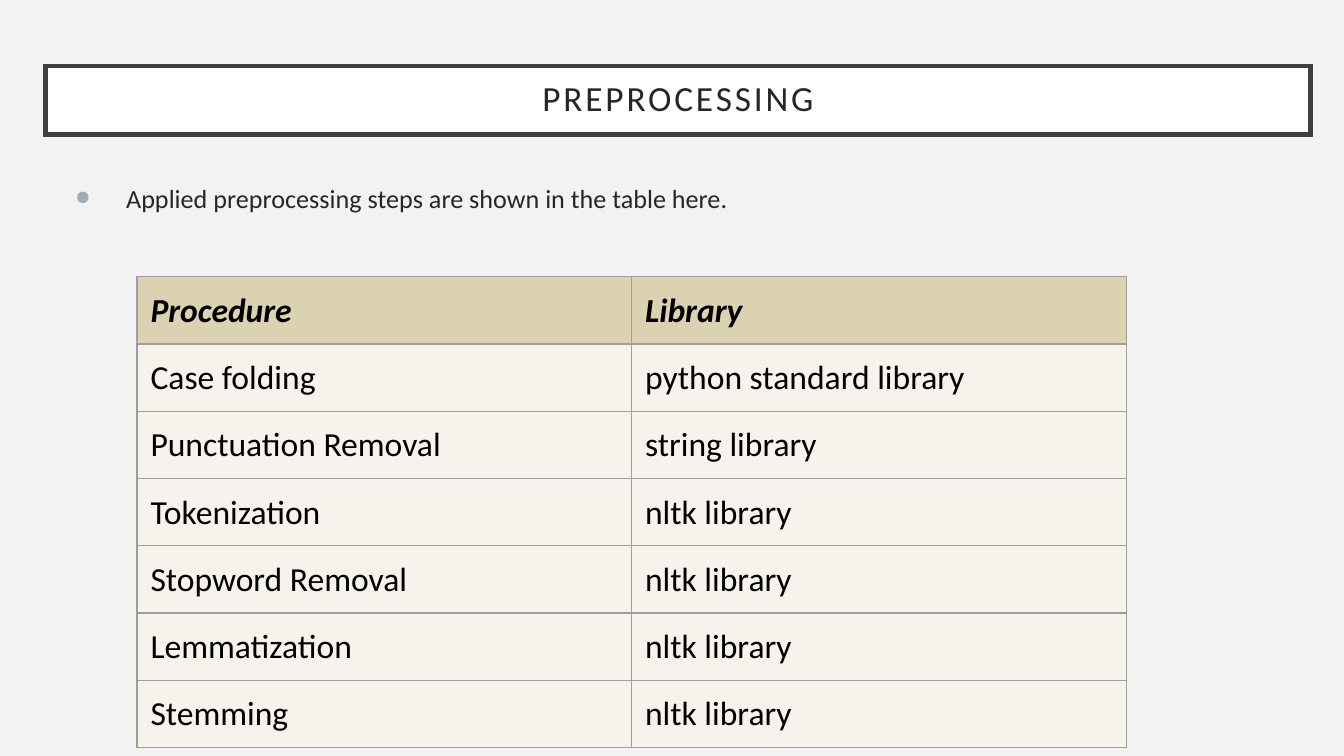
from typing import NamedTuple

import pptx
import pptx.dml.color
import pptx.enum.shapes
import pptx.enum.text
import pptx.oxml.ns
import pptx.util
from lxml import etree
from pptx.dml.color import RGBColor
from pptx.util import Inches

FONT = "Calibri"
BACKGROUND = RGBColor(0xF2, 0xF2, 0xF2)
WHITE = RGBColor(0xFF, 0xFF, 0xFF)
BLACK = RGBColor(0x00, 0x00, 0x00)
TEXT = RGBColor(0x26, 0x26, 0x26)
TITLE_LINE = RGBColor(0x40, 0x40, 0x40)
BULLET = RGBColor(0x9B, 0xAF, 0xB5)
HEADER_FILL = RGBColor(0xDA, 0xD2, 0xB0)
BODY_FILL = RGBColor(0xF5, 0xF3, 0xEB)
BORDER = RGBColor(0x9E, 0x9E, 0x9E)

MARGIN = Inches(0.1)
ROW_HEIGHT = 0.43
TALL_ROW_HEIGHT = 0.47
COLUMN_WIDTH = 3.68


class Step(NamedTuple):
    procedure: str
    library: str


HEADER = Step("Procedure", "Library")
STEPS = [
    Step("Case folding", "python standard library"),
    Step("Punctuation Removal", "string library"),
    Step("Tokenization", "nltk library"),
    Step("Stopword Removal", "nltk library"),
    Step("Lemmatization", "nltk library"),
    Step("Stemming", "nltk library"),
]
TALL_STEP = STEPS[3]


def add_element(parent, tag: str, **attributes: str):
    return etree.SubElement(parent, pptx.oxml.ns.qn(tag), attributes)


def set_font(paragraph, size: float, color: RGBColor) -> None:
    paragraph.font.name = FONT
    paragraph.font.size = pptx.util.Pt(size)
    paragraph.font.color.rgb = color


def set_margins(target) -> None:
    """Give a text frame or a table cell equal margins."""
    target.margin_left = target.margin_right = MARGIN
    target.margin_top = target.margin_bottom = MARGIN


def add_title(slide, text: str) -> None:
    shape = slide.shapes.add_shape(
        pptx.enum.shapes.MSO_SHAPE.RECTANGLE,
        Inches(0.34), Inches(0.49), Inches(9.41), Inches(0.51))
    shape.shadow.inherit = False
    shape.fill.solid()
    shape.fill.fore_color.rgb = WHITE
    shape.line.color.rgb = TITLE_LINE
    shape.line.width = pptx.util.Pt(2.5)
    # Square corners on the outline
    add_element(shape.line._get_or_add_ln(), "a:miter", lim="800000")
    frame = shape.text_frame
    frame.word_wrap = True
    frame.vertical_anchor = pptx.enum.text.MSO_ANCHOR.MIDDLE
    set_margins(frame)
    paragraph = frame.paragraphs[0]
    paragraph.text = text
    paragraph.alignment = pptx.enum.text.PP_ALIGN.CENTER
    paragraph.line_spacing = 0.9
    set_font(paragraph, 18.9, TEXT)
    # Letter spacing in hundredths of a point
    paragraph.runs[0].font._element.set("spc", "150")


def add_bullet_text(slide, text: str) -> None:
    box = slide.shapes.add_textbox(
        Inches(0.34), Inches(1.26), Inches(9.32), Inches(3.74))
    frame = box.text_frame
    frame.word_wrap = True
    set_margins(frame)
    paragraph = frame.paragraphs[0]
    paragraph.text = text
    properties = paragraph._p.get_or_add_pPr()
    properties.set("marL", str(Inches(0.5)))
    properties.set("indent", str(-Inches(0.38)))
    color = add_element(properties, "a:buClr")
    add_element(color, "a:srgbClr", val=str(BULLET))
    add_element(properties, "a:buSzPct", val="75000")
    add_element(properties, "a:buChar", char="●")
    set_font(paragraph, 14, TEXT)


def set_borders(cell) -> None:
    properties = cell._tc.get_or_add_tcPr()
    for side in ("a:lnL", "a:lnR", "a:lnT", "a:lnB"):
        line = add_element(properties, side, w=str(pptx.util.Pt(0.75)))
        fill = add_element(line, "a:solidFill")
        add_element(fill, "a:srgbClr", val=str(BORDER))


def fill_cell(cell, text: str, is_header: bool) -> None:
    set_margins(cell)
    set_borders(cell)
    cell.fill.solid()
    cell.fill.fore_color.rgb = HEADER_FILL if is_header else BODY_FILL
    paragraph = cell.text_frame.paragraphs[0]
    paragraph.text = text
    set_font(paragraph, 18, BLACK)
    paragraph.font.bold = is_header
    paragraph.font.italic = is_header


def add_step_table(slide, header: Step, steps: list[Step]) -> None:
    rows = [header, *steps]
    table = slide.shapes.add_table(
        len(rows), len(header), Inches(1.02), Inches(2.06),
        Inches(COLUMN_WIDTH * len(header)), Inches(3.08)).table
    table.horz_banding = False
    for row_index, row in enumerate(rows):
        height = TALL_ROW_HEIGHT if row is TALL_STEP else ROW_HEIGHT
        table.rows[row_index].height = Inches(height)
        for column_index, text in enumerate(row):
            fill_cell(table.cell(row_index, column_index), text, row_index == 0)


def main() -> None:
    presentation = pptx.Presentation()
    # Widescreen, 16 to 9
    presentation.slide_width = Inches(10)
    presentation.slide_height = presentation.slide_width * 9 // 16
    slide = presentation.slides.add_slide(presentation.slide_layouts[6])
    slide.background.fill.solid()
    slide.background.fill.fore_color.rgb = BACKGROUND

    # Introduction, table and title bar
    add_bullet_text(slide, "Applied preprocessing steps are shown in the table here.")
    add_step_table(slide, HEADER, STEPS)
    add_title(slide, "PREPROCESSING")

    presentation.save("out.pptx")


if __name__ == "__main__":
    main()
